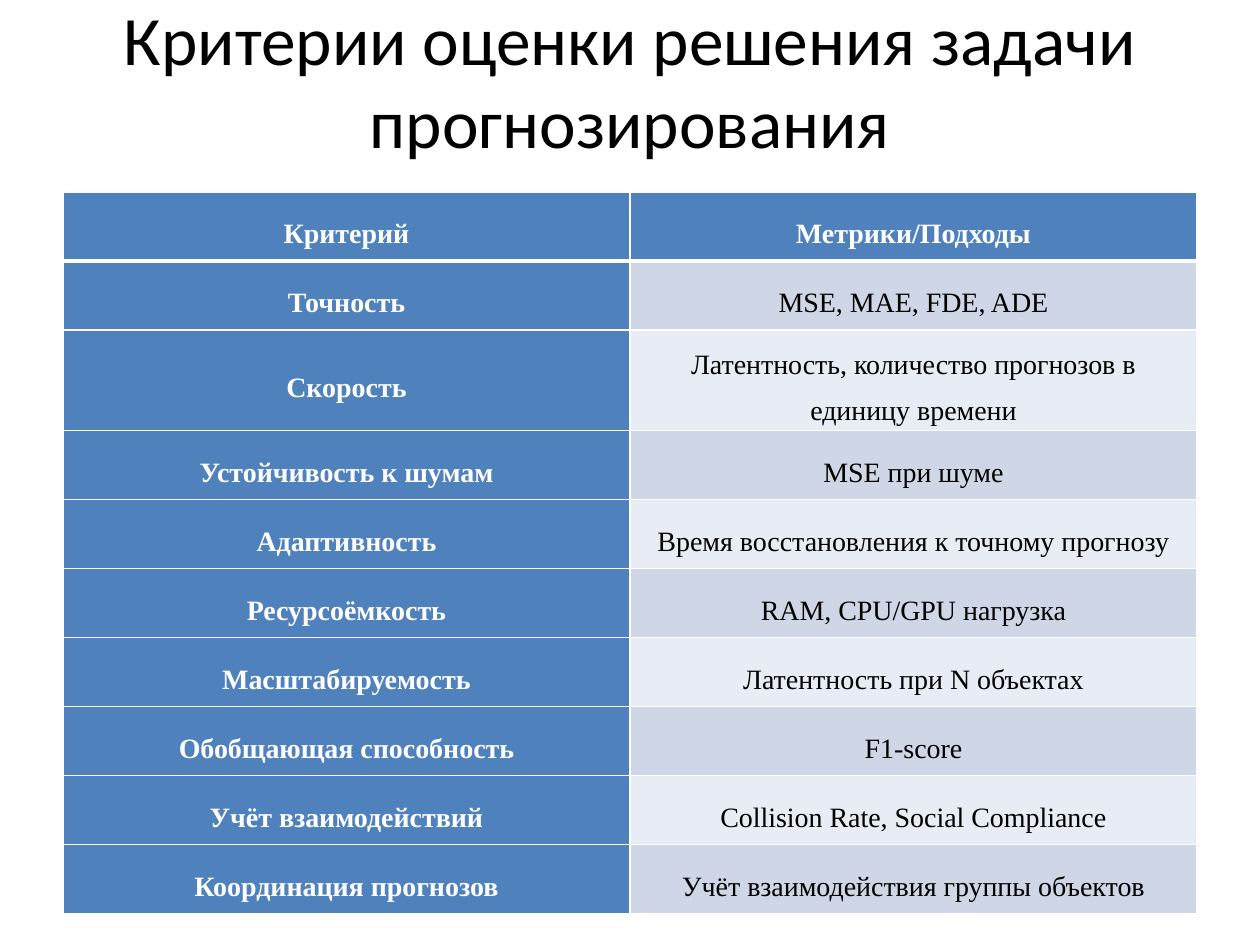
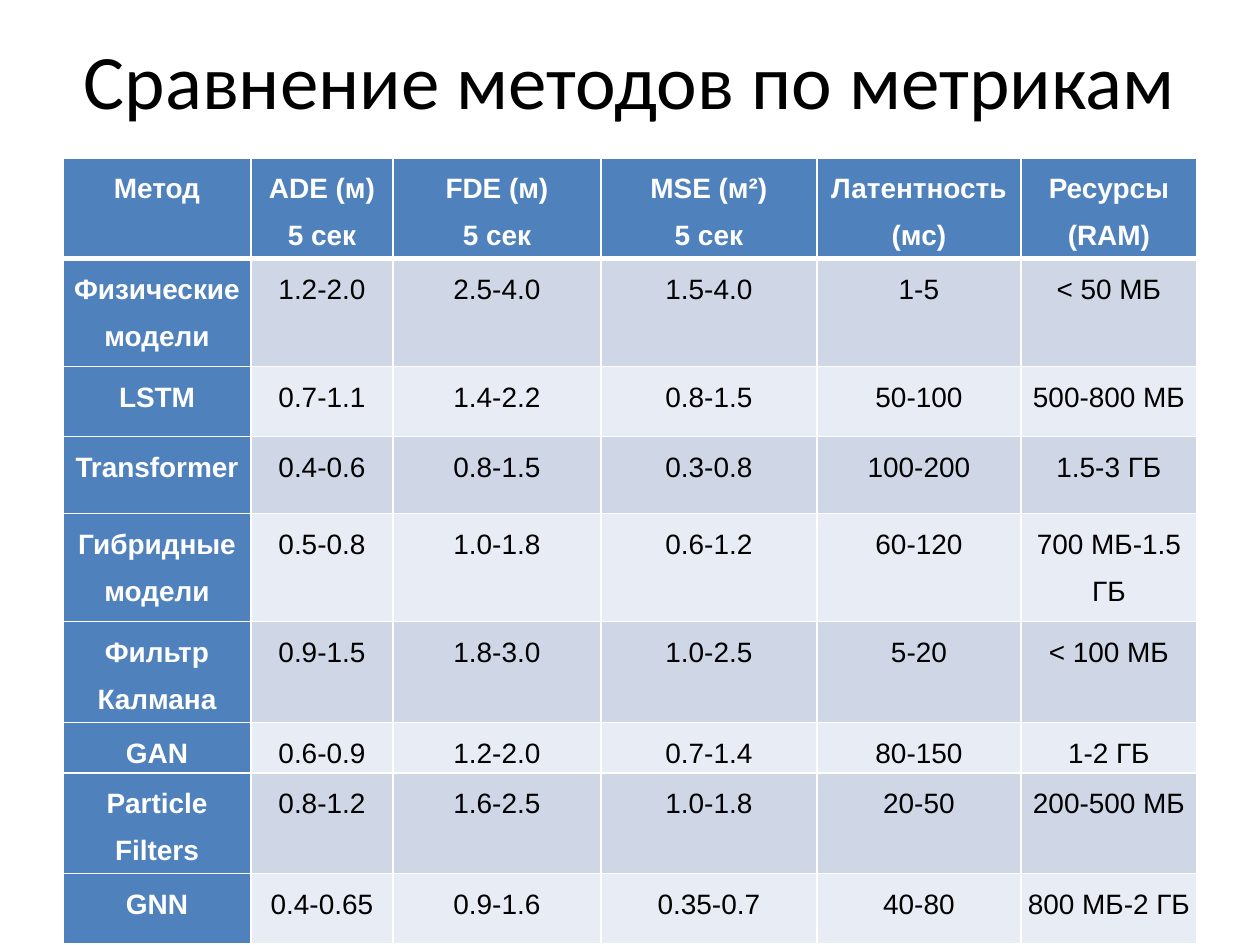
import lxml.etree
import pptx
import pptx.dml.color
import pptx.enum.text
import pptx.oxml.ns
import pptx.util

PX = 914400 / 126
COLORS = {
    "black": "000000",
    "white": "FFFFFF",
    "header": "4F81BD",
    "odd_band": "CFD7E7",
    "even_band": "E8ECF4",
}
LEFT, WIDTH = 63, 1134
TITLE_HEIGHT = 158

CRITERIA = [
    ("Критерий", "Метрики/Подходы"),
    ("Точность", "MSE, MAE, FDE, ADE"),
    ("Скорость", "Латентность, количество прогнозов в единицу времени"),
    ("Устойчивость к шумам", "MSE при шуме"),
    ("Адаптивность", "Время восстановления к точному прогнозу"),
    ("Ресурсоёмкость", "RAM, CPU/GPU нагрузка"),
    ("Масштабируемость", "Латентность при N объектах"),
    ("Обобщающая способность", "F1-score"),
    ("Учёт взаимодействий", "Collision Rate, Social Compliance"),
    ("Координация прогнозов", "Учёт взаимодействия группы объектов"),
]

METHODS = [
    ("Метод", "ADE (м)\v5 сек", "FDE (м)\v5 сек", "MSE (м²)\v5 сек",
     "Латентность (мс)", "Ресурсы (RAM)"),
    ("Физические модели", "1.2-2.0", "2.5-4.0", "1.5-4.0", "1-5", "< 50 МБ"),
    ("LSTM", "0.7-1.1", "1.4-2.2", "0.8-1.5", "50-100", "500-800 МБ"),
    ("Transformer", "0.4-0.6", "0.8-1.5", "0.3-0.8", "100-200", "1.5-3 ГБ"),
    ("Гибридные модели", "0.5-0.8", "1.0-1.8", "0.6-1.2", "60-120", "700 МБ-1.5 ГБ"),
    ("Фильтр Калмана", "0.9-1.5", "1.8-3.0", "1.0-2.5", "5-20", "< 100 МБ"),
    ("GAN", "0.6-0.9", "1.2-2.0", "0.7-1.4", "80-150", "1-2 ГБ"),
    ("Particle Filters", "0.8-1.2", "1.6-2.5", "1.0-1.8", "20-50", "200-500 МБ"),
    ("GNN", "0.4-0.65", "0.9-1.6", "0.35-0.7", "40-80", "800 МБ-2 ГБ"),
]
METHOD_COLUMNS = [188, 142, 208, 216, 204, 176]
METHOD_ROWS = [97, 108, 70, 77, 108, 97, 49, 77, 70]


def emu(px):
    return pptx.util.Emu(round(px * PX))


def rgb(name):
    return pptx.dml.color.RGBColor.from_string(COLORS[name])


class SlideBuilder:
    def __init__(self):
        self.deck = pptx.Presentation()
        self.deck.slide_width = emu(1260)
        self.deck.slide_height = emu(945)
        self.slide = None

    def add_slide(self):
        self.slide = self.deck.slides.add_slide(self.deck.slide_layouts[6])

    def set_text(self, frame, text, font, size, color, bold=False):
        para = frame.paragraphs[0]
        para.text = text
        para.alignment = pptx.enum.text.PP_ALIGN.CENTER
        para.font.name = font
        para.font.size = pptx.util.Pt(size)
        para.font.bold = bold
        para.font.color.rgb = rgb(color)
        return para

    def title(self, text, size):
        box = self.slide.shapes.add_textbox(emu(LEFT), 0, emu(WIDTH), emu(TITLE_HEIGHT))
        box.text_frame.word_wrap = True
        box.text_frame.vertical_anchor = pptx.enum.text.MSO_ANCHOR.MIDDLE
        self.set_text(box.text_frame, text, "Calibri", size, "black")

    def borders(self, cell, row):
        """Draw white rules, with a thicker one under the header row."""
        widths = {"lnL": 1, "lnR": 1, "lnT": 3 if row == 1 else 1, "lnB": 3 if row == 0 else 1}
        properties = cell._tc.get_or_add_tcPr()
        qn = pptx.oxml.ns.qn
        for side, width in widths.items():
            line = lxml.etree.SubElement(properties, qn(f"a:{side}"), w=str(pptx.util.Pt(width)))
            fill = lxml.etree.SubElement(line, qn("a:solidFill"))
            lxml.etree.SubElement(fill, qn("a:srgbClr"), val=COLORS["white"])

    def table(self, rows, top, column_widths, row_heights, font, margin, anchor):
        frame = self.slide.shapes.add_table(
            len(rows), len(column_widths), emu(LEFT), emu(top), emu(WIDTH), emu(sum(row_heights)))
        table = frame.table
        table.first_col = True
        for column, width in zip(table.columns, column_widths):
            column.width = emu(width)
        for row, height in zip(table.rows, row_heights):
            row.height = emu(height)
        for row, texts in enumerate(rows):
            for column, text in enumerate(texts):
                cell = table.cell(row, column)
                is_header = row == 0 or column == 0
                band = "odd_band" if row % 2 else "even_band"
                self.borders(cell, row)
                cell.fill.solid()
                cell.fill.fore_color.rgb = rgb("header" if is_header else band)
                cell.margin_left = cell.margin_right = emu(margin)
                cell.margin_top = cell.margin_bottom = 0
                cell.vertical_anchor = anchor
                para = self.set_text(cell.text_frame, text, font, 16,
                                     "white" if is_header else "black", is_header)
                para.line_spacing = 1.5


def main():
    builder = SlideBuilder()
    anchors = pptx.enum.text.MSO_ANCHOR

    builder.add_slide()
    builder.title("Критерии оценки решения задачи прогнозирования", 39.6)
    builder.table(CRITERIA, 192, [WIDTH // 2] * 2, [69] * len(CRITERIA),
                  "Times New Roman", 9, anchors.MIDDLE)

    builder.add_slide()
    builder.title("Сравнение методов по метрикам", 44)
    builder.table(METHODS, TITLE_HEIGHT, METHOD_COLUMNS, METHOD_ROWS,
                  "Arial", 7, anchors.TOP)

    builder.deck.save("out.pptx")


if __name__ == "__main__":
    main()
